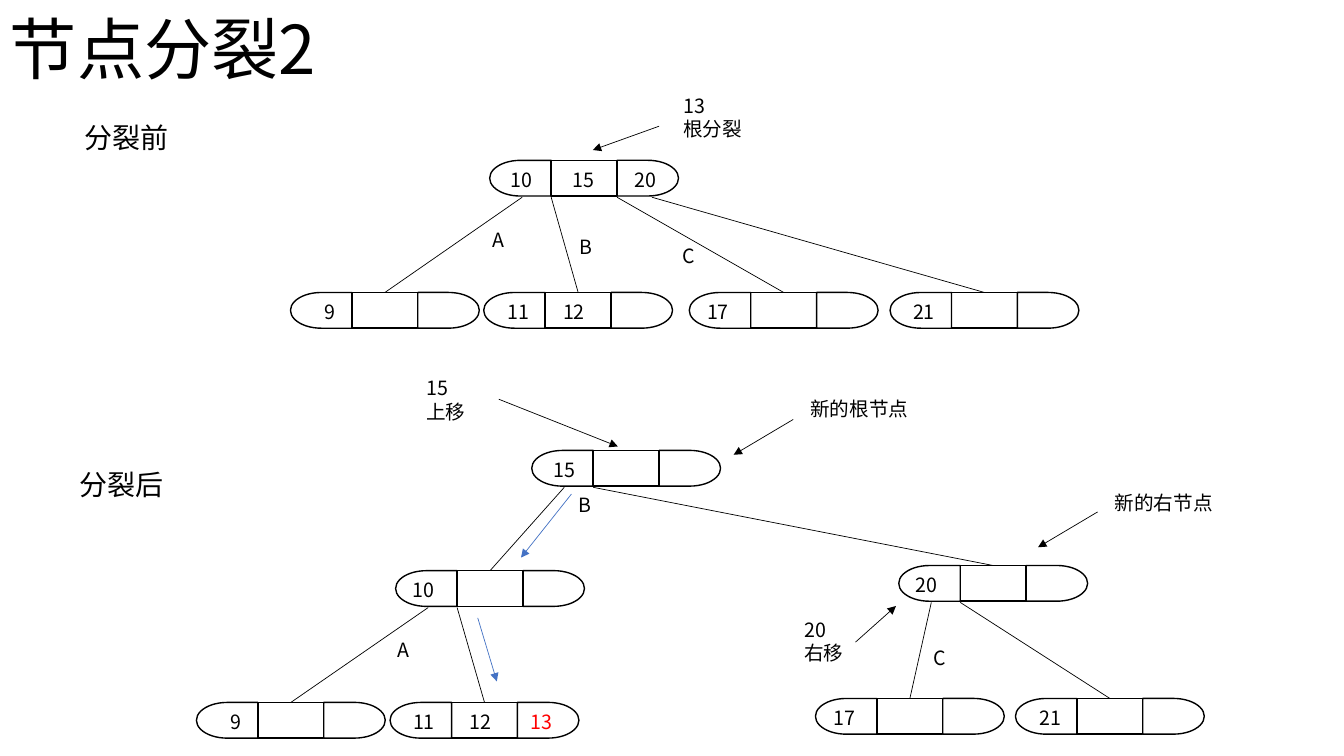
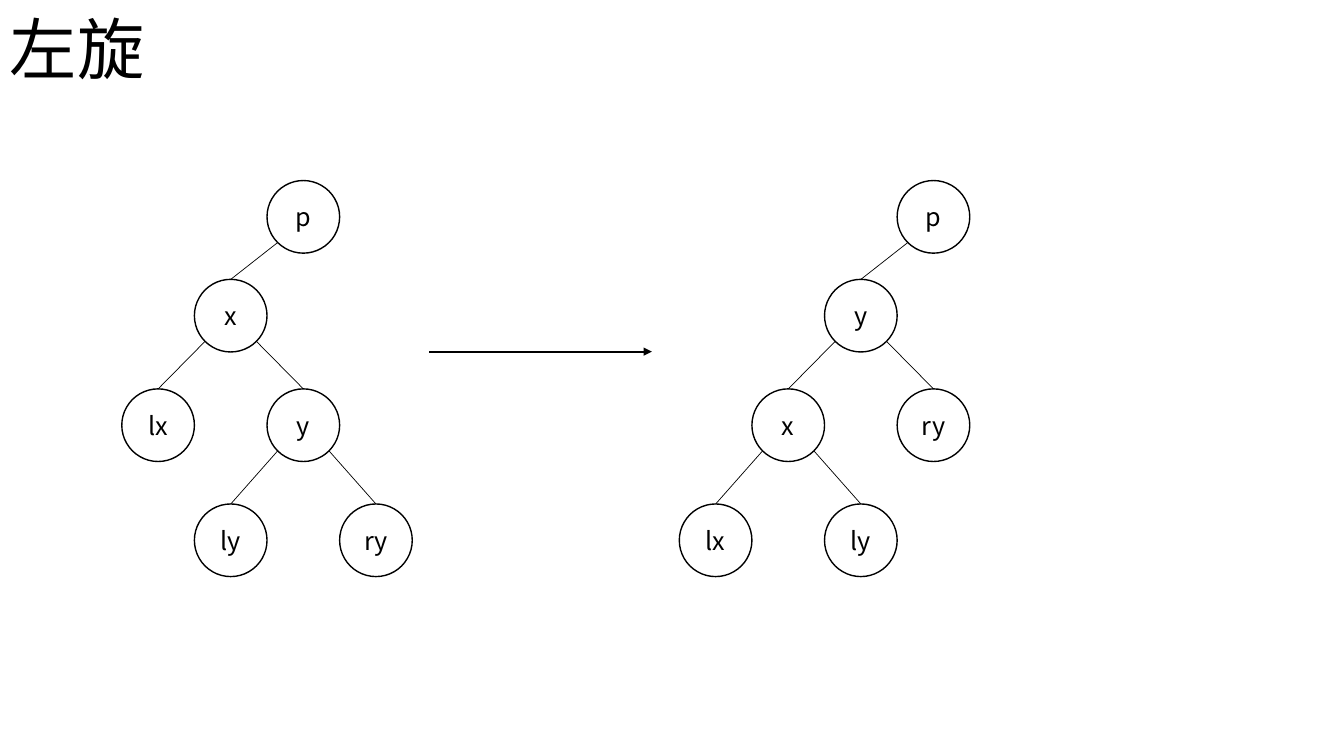
from lxml.etree import SubElement
from pptx import Presentation
from pptx.dml.color import RGBColor as Rgb
from pptx.enum.shapes import MSO_CONNECTOR as Link, MSO_SHAPE as Form
from pptx.enum.text import MSO_ANCHOR as Anchor, MSO_AUTO_SIZE as Fit, PP_ALIGN as Align
from pptx.oxml.ns import qn
from pptx.util import Cm, Pt

FONT = "Noto Sans CJK SC"
INK = {"black": "000000", "blue": "4472C4", "red": "FF0000"}
WIDE, HIGH = 33.87, 19.05

# B-tree node: two round ends, one middle cell
END, MID, TALL = 1.55, 1.66, 0.9
SLOTS = (0.82, END, END + MID, 4.09)

# Binary tree: column step equals the ball size
BALL = 1.83
ROWS = (4.55, 7.04, 9.8, 12.7)


def write(shape, text, size=14, ink="black", align=Align.LEFT):
    frame = shape.text_frame
    frame.word_wrap = True
    frame.text = text
    for para in frame.paragraphs:
        para.alignment = align
        for run in para.runs:
            run.font.size = Pt(size)
            run.font.color.rgb = Rgb.from_string(INK[ink])
            run.font.name = FONT
    for prop in shape.element.iter(qn("a:rPr")):
        SubElement(prop, qn("a:ea"), typeface=FONT)


class Deck:
    def __init__(self):
        self.file = Presentation()
        self.file.slide_width, self.file.slide_height = Cm(WIDE), Cm(HIGH)

    def page(self, title):
        self.slide = self.file.slides.add_slide(self.file.slide_layouts[6])
        self.pen = self.slide.shapes
        self.label(title, 0, 0.05, WIDE, size=48)

    def group(self):
        self.pen = self.slide.shapes.add_group_shape().shapes

    def label(self, text, x, y, w, size=14, **style):
        rows = text.count("\n") + 1
        high = 0.25 + rows * size * 0.0425
        box = self.pen.add_textbox(Cm(x), Cm(y), Cm(w), Cm(high))
        write(box, text, size=size, **style)
        box.text_frame.auto_size = Fit.SHAPE_TO_FIT_TEXT

    def form(self, kind, x, y, w, h):
        shape = self.pen.add_shape(kind, Cm(x), Cm(y), Cm(w), Cm(h))
        shape.shadow.inherit = False
        shape.fill.background()
        shape.line.color.rgb = Rgb.from_string(INK["black"])
        shape.line.width = Pt(1)
        return shape

    def line(self, x1, y1, x2, y2, ink="black", width=0.5, head=False):
        link = self.pen.add_connector(Link.STRAIGHT, Cm(x1), Cm(y1), Cm(x2), Cm(y2))
        link.line.color.rgb = Rgb.from_string(INK[ink])
        link.line.width = Pt(width)
        props = link.element.spPr
        if head:
            SubElement(props.find(qn("a:ln")), qn("a:tailEnd"), type="triangle")
        SubElement(props, qn("a:effectLst"))

    def arrow(self, *ends, **style):
        self.line(*ends, head=True, **style)

    def node(self, x, y, keys, hot=None):
        """Draw a three-cell node; keys maps each key to its offset."""
        self.form(Form.FLOWCHART_DELAY, x + END + MID, y, END, TALL)
        self.form(Form.FLOWCHART_DELAY, x, y, END, TALL).rotation = 180
        self.form(Form.RECTANGLE, x + END, y, MID, TALL)
        for key, shift in keys.items():
            self.label(key, x + shift, y + 0.06, 1.2 if len(key) > 1 else 0.56,
                       ink="red" if key == hot else "black")
        return x, y

    def edges(self, top, *kids):
        for slot, (x, y) in zip(SLOTS, kids):
            self.line(top[0] + slot, top[1] + TALL + 0.03, x + END + MID / 2, y)

    def tree(self, left, balls):
        """Draw balls given as name: (column, row, parent)."""
        self.group()
        half = BALL / 2
        bend = half * 0.5 ** 0.5
        for name, (col, row, top) in balls.items():
            x, y = left + col * BALL, ROWS[row]
            ball = self.form(Form.FLOWCHART_CONNECTOR, x, y, BALL, BALL)
            write(ball, name, size=18, align=Align.CENTER)
            ball.text_frame.vertical_anchor = Anchor.MIDDLE
            if top:
                over, level, _ = balls[top]
                side = bend if col > over else -bend
                self.line(left + over * BALL + half + side,
                          ROWS[level] + half + bend, x + half, y)


deck = Deck()

# Node split: before
deck.page("节点分裂2")
deck.group()
root = deck.node(12.34, 4.04, {"10": 0.28, "15": 1.85, "20": 3.4})
deck.edges(root,
           deck.node(7.32, 7.37, {"9": 0.61}),
           deck.node(12.19, 7.37, {"11": 0.36, "12": 1.75}),
           deck.node(17.37, 7.37, {"17": 0.2}),
           deck.node(22.43, 7.37, {"21": 0.33}))
deck.label("分裂前", 1.88, 2.9, 3.25, size=20)
for text, x, y, w in (("A", 12.17, 5.61, 0.81), ("B", 14.35, 5.79, 0.69),
                      ("C", 16.94, 6.02, 0.86), ("13\n根分裂", 16.97, 2.24, 2.08)):
    deck.label(text, x, y, w)
deck.arrow(16.61, 3.18, 14.94, 3.78)

# Node split: after
deck.group()
root = deck.node(13.4, 11.35, {"15": 0.3})
left = deck.node(9.97, 14.38, {"10": 0.18})
right = deck.node(22.65, 14.25, {"20": 0.18})
deck.edges(root, left, right)
deck.edges(left,
           deck.node(4.95, 17.7, {"9": 0.61}),
           deck.node(9.83, 17.7, {"11": 0.33, "12": 1.75, "13": 3.3}, hot="13"))
deck.edges(right,
           deck.node(20.55, 17.6, {"17": 0.2}),
           deck.node(25.59, 17.6, {"21": 0.36}))
deck.label("分裂后", 1.75, 11.66, 3.25, size=20)
for text, x, y, w in (("A", 9.78, 15.95, 0.81), ("B", 14.33, 12.29, 0.69),
                      ("C", 23.27, 16.15, 0.86), ("15\n上移", 10.49, 9.35, 2.08),
                      ("20\n右移", 20.02, 15.44, 1.52),
                      ("新的根节点", 20.17, 9.88, 4.62),
                      ("新的右节点", 27.84, 12.24, 3.0)):
    deck.label(text, x, y, w)
for ends in ((12.57, 10.06, 15.57, 11.25), (19.99, 10.57, 18.49, 11.46),
             (27.66, 12.9, 26.16, 13.79), (21.56, 16.18, 22.58, 15.27)):
    deck.arrow(*ends)
for ends in ((14.4, 12.45, 13.13, 14.05), (12.04, 15.57, 12.52, 17.17)):
    deck.arrow(*ends, ink="blue")

# Left rotation
deck.page("左旋")
deck.arrow(10.82, 8.86, 16.43, 8.86, width=1.5)
deck.tree(3.07, {"p": (2, 0, None), "x": (1, 1, "p"), "lx": (0, 2, "x"),
                 "y": (2, 2, "x"), "ly": (1, 3, "y"), "ry": (3, 3, "y")})
deck.tree(17.12, {"p": (3, 0, None), "y": (2, 1, "p"), "x": (1, 2, "y"),
                  "ry": (3, 2, "y"), "lx": (0, 3, "x"), "ly": (2, 3, "x")})

deck.file.save("out.pptx")
